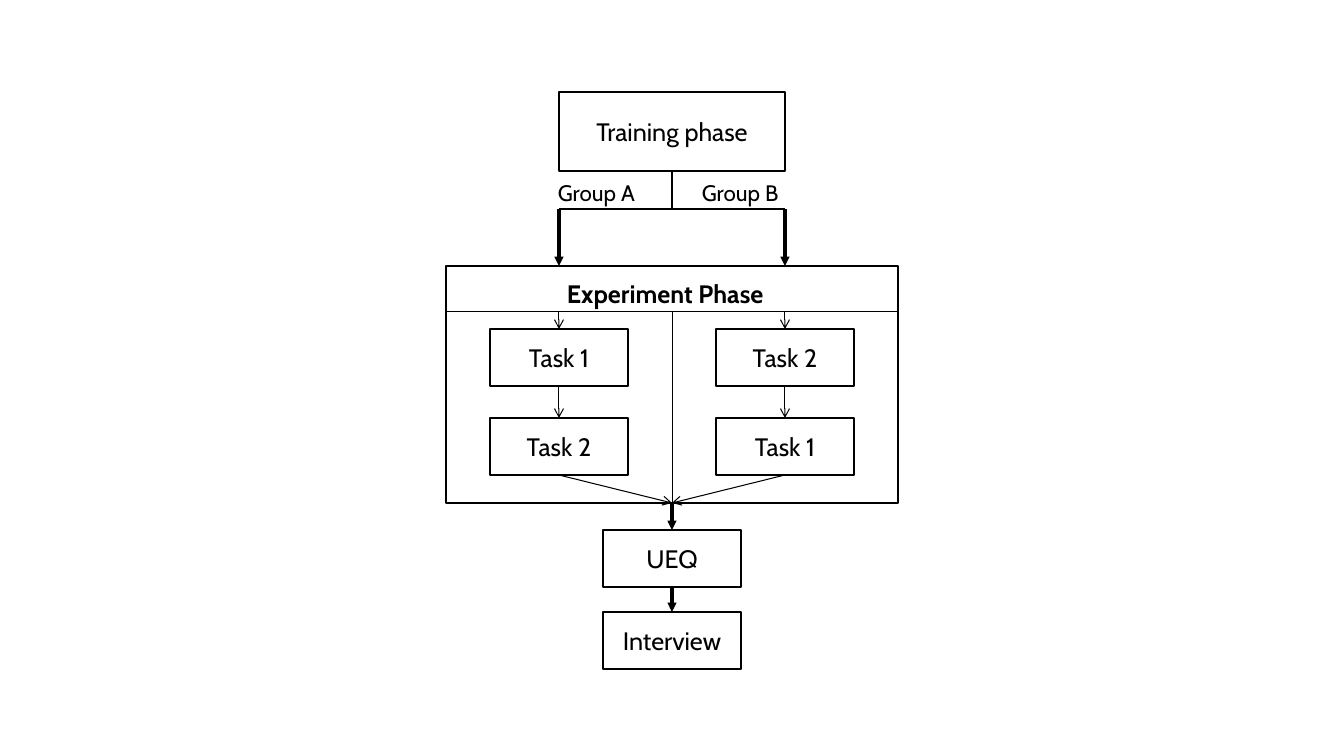
from dataclasses import dataclass

from lxml.etree import SubElement
from pptx import Presentation
from pptx.dml.color import RGBColor
from pptx.enum.shapes import MSO_CONNECTOR, MSO_SHAPE
from pptx.enum.text import MSO_ANCHOR, MSO_AUTO_SIZE, PP_ALIGN
from pptx.oxml.ns import qn
from pptx.util import Pt


@dataclass(frozen=True)
class Theme:
    font: str = "Cabin"
    ink: RGBColor = RGBColor(0, 0, 0)
    paper: RGBColor = RGBColor(255, 255, 255)
    step_size: int = 18
    group_size: int = 16
    outline: float = 1


THEME = Theme()
EMU_PER_PX = 914400 / 100.8


def px(*lengths):
    return [round(length * EMU_PER_PX) for length in lengths]


def write(frame, wording, size, bold=False):
    paragraph = frame.paragraphs[0]
    run = paragraph.add_run()
    run.text = wording
    run.font.name = THEME.font
    run.font.size = Pt(size)
    run.font.bold = bold
    run.font.color.rgb = THEME.ink
    return paragraph


deck = Presentation()
deck.slide_width, deck.slide_height = px(1344, 756)
slide = deck.slides.add_slide(deck.slide_layouts[6])

CENTER = 672
BRANCH = 113
GROUP_A, GROUP_B = CENTER - BRANCH, CENTER + BRANCH
STEP_W, STEP_H = 138, 57
TRAINING_TOP, TRAINING_H = 92, 79
FORK = 209
PHASE_TOP, PHASE_HEAD, PHASE_END = 266, 311, 503
PHASE_LEFT, PHASE_RIGHT = CENTER - 2 * BRANCH, CENTER + 2 * BRANCH
FIRST_TASK, SECOND_TASK = 329, 418
UEQ_TOP, INTERVIEW_TOP = 530, 612

steps = [
    ("", CENTER, PHASE_TOP, PHASE_RIGHT - PHASE_LEFT, PHASE_END - PHASE_TOP),
    ("Training phase", CENTER, TRAINING_TOP, 2 * BRANCH, TRAINING_H),
    ("Task 1", GROUP_A, FIRST_TASK, STEP_W, STEP_H),
    ("Task 2", GROUP_A, SECOND_TASK, STEP_W, STEP_H),
    ("Task 2", GROUP_B, FIRST_TASK, STEP_W, STEP_H),
    ("Task 1", GROUP_B, SECOND_TASK, STEP_W, STEP_H),
    ("UEQ", CENTER, UEQ_TOP, STEP_W, STEP_H),
    ("Interview", CENTER, INTERVIEW_TOP, STEP_W, STEP_H),
]
for wording, middle, top, width, height in steps:
    step = slide.shapes.add_shape(
        MSO_SHAPE.RECTANGLE, *px(middle - width / 2, top, width, height))
    step.shadow.inherit = False
    step.fill.solid()
    step.fill.fore_color.rgb = THEME.paper
    step.line.color.rgb = THEME.ink
    step.line.width = Pt(THEME.outline)
    if wording:
        step.text_frame.vertical_anchor = MSO_ANCHOR.MIDDLE
        write(step.text_frame, wording, THEME.step_size).alignment = PP_ALIGN.CENTER

labels = [
    ("Group A", 548, 174, 132, 37, THEME.group_size, False),
    ("Group B", 692, 174, 132, 37, THEME.group_size, False),
    ("Experiment Phase", 557, 273, 239, 40, THEME.step_size, True),
]
for wording, left, top, width, height, size, bold in labels:
    label = slide.shapes.add_textbox(*px(left, top, width, height))
    label.text_frame.word_wrap = True
    label.text_frame.auto_size = MSO_AUTO_SIZE.SHAPE_TO_FIT_TEXT
    write(label.text_frame, wording, size, bold)

links = [
    (CENTER, TRAINING_TOP + TRAINING_H, CENTER, FORK, 1.5, None),
    (GROUP_A, FORK, GROUP_B, FORK, 1.5, None),
    (PHASE_LEFT, PHASE_HEAD, PHASE_RIGHT, PHASE_HEAD, 0.5, None),
    (CENTER, PHASE_HEAD, CENTER, PHASE_END, 0.5, None),
    (CENTER, PHASE_END, CENTER, UEQ_TOP, 2.25, "triangle"),
    (CENTER, UEQ_TOP + STEP_H, CENTER, INTERVIEW_TOP, 2.25, "triangle"),
]
for group in (GROUP_A, GROUP_B):
    links += [
        (group, FORK, group, PHASE_TOP, 2.25, "triangle"),
        (group, PHASE_HEAD, group, FIRST_TASK, 0.75, "arrow"),
        (group, FIRST_TASK + STEP_H, group, SECOND_TASK, 0.75, "arrow"),
        (group, SECOND_TASK + STEP_H, CENTER, PHASE_END, 0.75, "arrow"),
    ]
for x1, y1, x2, y2, weight, arrowhead in links:
    link = slide.shapes.add_connector(MSO_CONNECTOR.STRAIGHT, *px(x1, y1, x2, y2))
    link.line.color.rgb = THEME.ink
    link.line.width = Pt(weight)
    if arrowhead:
        SubElement(link.line._get_or_add_ln(), qn("a:tailEnd"), type=arrowhead)
    SubElement(link._element.spPr, qn("a:effectLst"))

deck.save("out.pptx")
